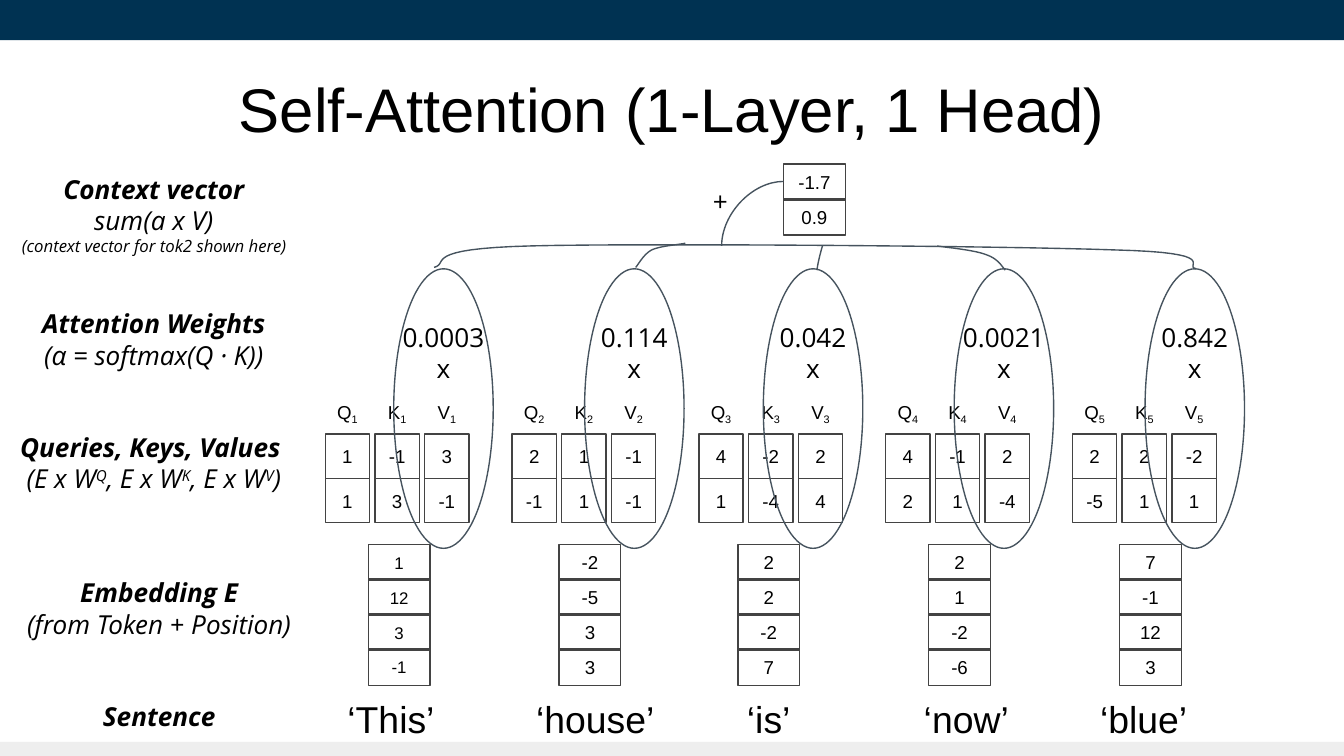
from pptx import Presentation
from pptx.dml.color import RGBColor
from pptx.enum.shapes import MSO_CONNECTOR, MSO_SHAPE
from pptx.enum.text import MSO_ANCHOR, PP_ALIGN
from pptx.oxml.ns import qn
from pptx.oxml.xmlchemy import OxmlElement
from pptx.util import Inches, Pt

RECTANGLE, OVAL = MSO_SHAPE.RECTANGLE, MSO_SHAPE.OVAL
CURVE = MSO_CONNECTOR.CURVE
CENTER = PP_ALIGN.CENTER
TOP, MIDDLE = MSO_ANCHOR.TOP, MSO_ANCHOR.MIDDLE

NAVY = RGBColor(0x00, 0x32, 0x52)
PALE_GRAY = RGBColor(0xEE, 0xEE, 0xEE)
CELL_GRAY = RGBColor(0x43, 0x43, 0x43)
SLATE = RGBColor(0x46, 0x53, 0x5E)
BLACK = RGBColor(0x00, 0x00, 0x00)

SLIDE_W = 10
SLIDE_H = SLIDE_W * 9 / 16
LINE_WIDTH = 0.75

QKV_LEFT, QKV_TOP, TOKEN_STEP = 2.42, 3.23, 1.39
QKV_CELL, QKV_COL_STEP = 0.33, 0.37
VECTOR_W, VECTOR_CELL_H, VECTOR_STEP = 0.46, 0.27, 0.26
EMBEDDING_TOP = 4.05
CONTEXT_LEFT, CONTEXT_TOP = 5.83, 1.22
RING_OFFSET, RING_TOP, RING_W, RING_H = 0.19, 2, 0.74, 2.08
WORD_W = 1.2

TOKENS = [
    ("‘This’", 2.91, 2.74, "0.0003", ["1 1", "-1 3", "3 -1"], "1 12 3 -1", 9),
    ("‘house’", 4.43, 4.16, "0.114", ["2 -1", "1 1", "-1 -1"], "-2 -5 3 3", 10),
    ("‘is’", 5.72, 5.49, "0.042", ["4 1", "-2 -4", "2 4"], "2 2 -2 7", 10),
    ("‘now’", 7.19, 6.91, "0.0021", ["4 2", "-1 1", "2 -4"], "2 1 -2 -6", 10),
    ("‘blue’", 8.51, 8.33, "0.842", ["2 -5", "2 1", "-2 1"], "7 -1 12 3", 10),
]

BRACKETS = [
    [(3.23, 1.99), (3.35, 1.96), (3.12, 1.85), (3.96, 1.83),
     (4.8, 1.81), (7.46, 1.83), (8.29, 1.86),
     (9.11, 1.88), (8.8, 1.98), (8.9, 2)],
    [(4.73, 1.99), (4.75, 1.97), (4.79, 1.89), (4.85, 1.86),
     (4.91, 1.83), (5.06, 1.82), (5.1, 1.81)],
    [(7.48, 2.01), (7.46, 1.99), (7.43, 1.93), (7.35, 1.9),
     (7.26, 1.86), (7.03, 1.84), (6.97, 1.83)],
    [(6.08, 2.01), (6.08, 1.98), (6.11, 1.86), (6.12, 1.83)],
]

BOLD = {"bold": True}
RAISED = {"baseline": 30000}
ROW_LABELS = [
    (1.19, 2.29, [[("Context vector", BOLD)], ["sum(a x V)"],
                  [("(context vector for tok2 shown here)", {"size": 9})]]),
    (2.19, 2.29, [[("Attention Weights", BOLD)], ["(α = softmax(Q · K))"]]),
    (3.11, 2.29, [[("Queries, Keys, Values ", BOLD)],
                  ["(E x W", ("Q", RAISED), ", E x W", ("K", RAISED),
                   ", E x W", ("V", RAISED), ")"]]),
    (4.19, 2.37, [[("Embedding E", BOLD)], ["(from Token + Position)"]]),
    (5.11, 2.37, [[("Sentence", BOLD)]]),
]


def inches(*lengths):
    return [Inches(length) for length in lengths]


def style_run(run, size=10, font="Arial", bold=False, italic=False, baseline=0):
    run.font.size = Pt(size)
    run.font.name = font
    run.font.bold = bold
    run.font.italic = italic
    run.font.color.rgb = BLACK
    if baseline:
        run._r.get_or_add_rPr().set("baseline", str(baseline))


def write(holder, paragraphs, inset=0, anchor=TOP, **style):
    frame = holder.text_frame
    frame.word_wrap = True
    frame.vertical_anchor = anchor
    frame.margin_left = frame.margin_right = Inches(inset)
    frame.margin_top = frame.margin_bottom = Inches(inset)
    for index, pieces in enumerate(paragraphs):
        paragraph = frame.add_paragraph() if index else frame.paragraphs[0]
        paragraph.alignment = CENTER
        for piece in pieces:
            text, changes = (piece, {}) if isinstance(piece, str) else piece
            run = paragraph.add_run()
            run.text = text
            style_run(run, **{**style, **changes})


def add_text(slide, left, top, width, height, paragraphs, **style):
    write(slide.shapes.add_textbox(*inches(left, top, width, height)),
          paragraphs, **style)


def outline(shape, color):
    shape.shadow.inherit = False
    shape.fill.background()
    shape.line.color.rgb = color
    shape.line.width = Pt(LINE_WIDTH)


def add_band(slide, top, height, color):
    band = slide.shapes.add_shape(RECTANGLE, *inches(0, top, SLIDE_W, height))
    band.shadow.inherit = False
    band.fill.solid()
    band.fill.fore_color.rgb = color
    band.line.fill.background()


def add_vector(slide, left, top, width, height, step, values, size=10):
    for row, value in enumerate(values.split()):
        cell = slide.shapes.add_shape(
            RECTANGLE, *inches(left, top + row * step, width, height))
        outline(cell, CELL_GRAY)
        write(cell, [[value]], anchor=MIDDLE, size=size)


def add_bracket(slide, controls, steps=16):
    points = []
    for first in range(0, len(controls) - 1, 3):
        a, b, c, d = controls[first:first + 4]
        for step in range(1, steps + 1):
            t = step / steps
            u = 1 - t
            points.append(inches(*(
                u**3 * a[k] + 3 * u * u * t * b[k] + 3 * u * t * t * c[k] + t**3 * d[k]
                for k in (0, 1))))
    builder = slide.shapes.build_freeform(*inches(*controls[0]))
    builder.add_line_segments(points, close=False)
    outline(builder.convert_to_shape(), SLATE)


def add_sum_curve(slide):
    curve = slide.shapes.add_connector(CURVE, *inches(CONTEXT_LEFT, 1.35, 5.37, 1.83))
    curve.line.color.rgb = SLATE
    curve.line.width = Pt(LINE_WIDTH)
    properties = curve._element.spPr
    properties.find(qn("a:prstGeom")).set("prst", "curvedConnector2")
    properties.append(OxmlElement("a:effectLst"))


def add_token(slide, index, word, word_center, left, weight, qkv, embedding, size):
    for column, (letter, values) in enumerate(zip("QKV", qkv)):
        x = QKV_LEFT + index * TOKEN_STEP + column * QKV_COL_STEP
        subscript = (str(index + 1), {"baseline": -25000})
        add_text(slide, x, 2.98, QKV_CELL, 0.2, [[letter, subscript]])
        add_vector(slide, x, QKV_TOP, QKV_CELL, QKV_CELL, QKV_CELL, values)
    add_vector(slide, left, EMBEDDING_TOP, VECTOR_W, VECTOR_CELL_H, VECTOR_STEP,
               embedding, size)
    add_text(slide, word_center - WORD_W / 2, 5.18, WORD_W, 0.32, [[word]], size=20)
    ring_left = left + RING_OFFSET
    add_text(slide, ring_left - 0.1, 2.39, RING_W + 0.2, 0.5, [[weight], ["x"]],
             size=14, font="Open Sans")
    ring = slide.shapes.add_shape(OVAL, *inches(ring_left, RING_TOP, RING_W, RING_H))
    outline(ring, SLATE)


def main():
    deck = Presentation()
    deck.slide_width, deck.slide_height = inches(SLIDE_W, SLIDE_H)
    slide = deck.slides.add_slide(deck.slide_layouts[6])
    add_band(slide, 0, 0.3, NAVY)
    add_band(slide, 5.52, SLIDE_H - 5.52, PALE_GRAY)
    add_text(slide, 0.34, 0.35, 9.32, 0.91, [["Self-Attention (1-Layer, 1 Head)"]],
             size=33, anchor=MIDDLE)
    for top, width, paragraphs in ROW_LABELS:
        add_text(slide, 0, top, width, 0.23, paragraphs, inset=0.1, size=14,
                 font="Open Sans", italic=True)
    for index, token in enumerate(TOKENS):
        add_token(slide, index, *token)
    add_vector(slide, CONTEXT_LEFT, CONTEXT_TOP, VECTOR_W, VECTOR_CELL_H,
               VECTOR_STEP, "-1.7 0.9")
    for controls in BRACKETS:
        add_bracket(slide, controls)
    add_sum_curve(slide)
    add_text(slide, 5.13, 1.28, 0.46, 0.33, [["+"]], inset=0.1, size=14,
             font="Open Sans")
    deck.save("out.pptx")


if __name__ == "__main__":
    main()
